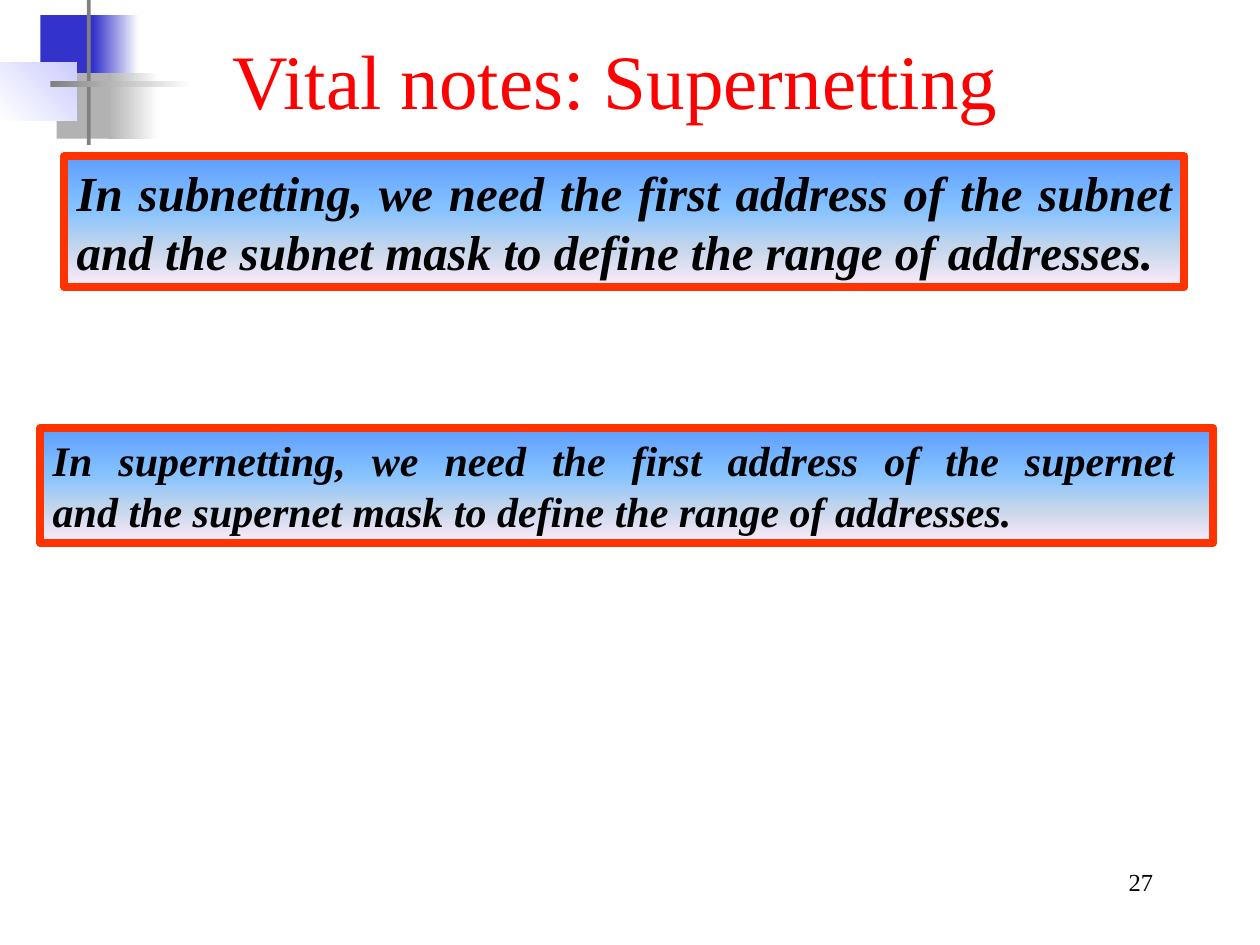
import pptx
import pptx.util
import pptx.dml.color
import pptx.enum.shapes
import pptx.enum.text
import pptx.oxml
import pptx.oxml.ns
from pptx.util import Inches

FONT = "Times New Roman"
ALIGN = pptx.enum.text.PP_ALIGN
ANCHOR = pptx.enum.text.MSO_ANCHOR

# Content
TITLE = "Vital notes: Supernetting"
PAGE_NUMBER = "27"
NOTES = [  # place, text size, lines
    ((0.51, 1.24, 8.89, 1.04), 28,
     ["In subnetting, we need the first address of the subnet "
      "and the subnet mask to define the range of addresses."]),
    ((0.32, 3.4, 9.31, 0.91), 24,
     ["In supernetting, we need the first address of the supernet ",
      "and the supernet mask to define the range of addresses."]),
]
NOTE_STOPS = [(0, "5E9EFF"), (40, "85C2FF"), (70, "C4D6EB"), (100, "FFEBFA")]
ORNAMENT = [  # place, colours from start to end, angle
    ((0.32, 0.12, 0.48, 0.52), ["3333CC"], 0),
    ((0.74, 0.12, 0.36, 0.52), ["3333CC", "FFFFFF"], 0),
    ((0.45, 0.58, 0.46, 0.52), ["B2B2B2"], 0),
    ((0.86, 0.58, 0.4, 0.52), ["B2B2B2", "FFFFFF"], 0),
    ((0, 0.5, 0.61, 0.46), ["FFFFFF", "CCCCFF"], 315),
    ((0.69, 0, 0.03, 1.15), ["808080"], 0),
    ((0.4, 0.64, 1.12, 0.05), ["808080", "FFFFFF"], 0),
]


def color(value):
    return pptx.dml.color.RGBColor.from_string(value)


def fill_gradient(box, stops, angle):
    box.fill.gradient()
    gradient = box._element.spPr.find(pptx.oxml.ns.qn("a:gradFill"))
    stop_list = gradient.find(pptx.oxml.ns.qn("a:gsLst"))
    for old_stop in list(stop_list):
        stop_list.remove(old_stop)
    for position, value in stops:
        stop_list.append(pptx.oxml.parse_xml(
            f'<a:gs {pptx.oxml.ns.nsdecls("a")} pos="{position * 1000}">'
            f'<a:srgbClr val="{value}"/></a:gs>'))
    gradient.find(pptx.oxml.ns.qn("a:lin")).set("ang", str(angle * 60000))


def add_rectangle(page, place):
    box = page.shapes.add_shape(pptx.enum.shapes.MSO_SHAPE.RECTANGLE,
                                *map(Inches, place))
    box.shadow.inherit = False
    box.line.fill.background()
    return box


def write(box, lines, size, value="000000", align=ALIGN.LEFT,
          anchor=ANCHOR.TOP, bold=False, italic=False):
    frame = box.text_frame
    frame.word_wrap = True
    frame.auto_size = pptx.enum.text.MSO_AUTO_SIZE.NONE
    frame.vertical_anchor = anchor
    para = frame.paragraphs[0]
    para.alignment = align
    for index, line in enumerate(lines):
        if index:
            para.add_line_break()
        span = para.add_run()
        span.text = line
        span.font.name = FONT
        span.font.size = pptx.util.Pt(size)
        span.font.bold = bold
        span.font.italic = italic
        span.font.color.rgb = color(value)


deck = pptx.Presentation()
deck.slide_width, deck.slide_height = Inches(10), Inches(7.5)
page = deck.slides.add_slide(deck.slide_layouts[5])

# Corner ornament
for place, colors, angle in ORNAMENT:
    box = add_rectangle(page, place)
    if len(colors) == 1:
        box.fill.solid()
        box.fill.fore_color.rgb = color(colors[0])
    else:
        fill_gradient(box, list(zip((0, 100), colors)), angle)

# Page number
number = page.shapes.add_textbox(*map(Inches, (7.17, 6.83, 2.08, 0.5)))
write(number, [PAGE_NUMBER], 14, align=ALIGN.RIGHT)

# Framed notes
for place, size, lines in NOTES:
    box = add_rectangle(page, place)
    fill_gradient(box, NOTE_STOPS, 90)
    box.line.color.rgb = color("FF3300")
    box.line.width = pptx.util.Pt(4.5)
    write(box, lines, size, align=ALIGN.JUSTIFY, bold=True, italic=True)

# Title
title = page.shapes.title
title.left, title.top, title.width, title.height = map(
    Inches, (0.47, 0, 8.83, 1.25))
write(title, [TITLE], 44, "FF0000", ALIGN.CENTER, ANCHOR.MIDDLE)

deck.save("out.pptx")
